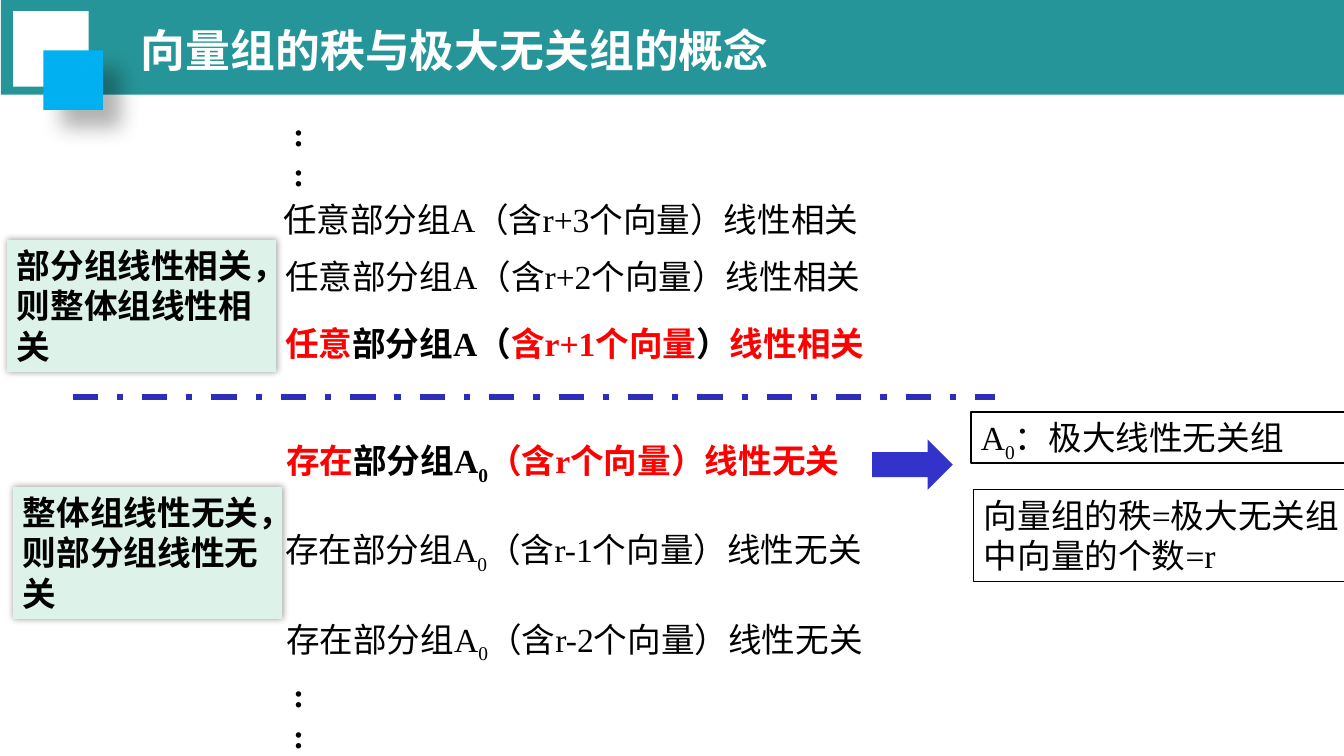
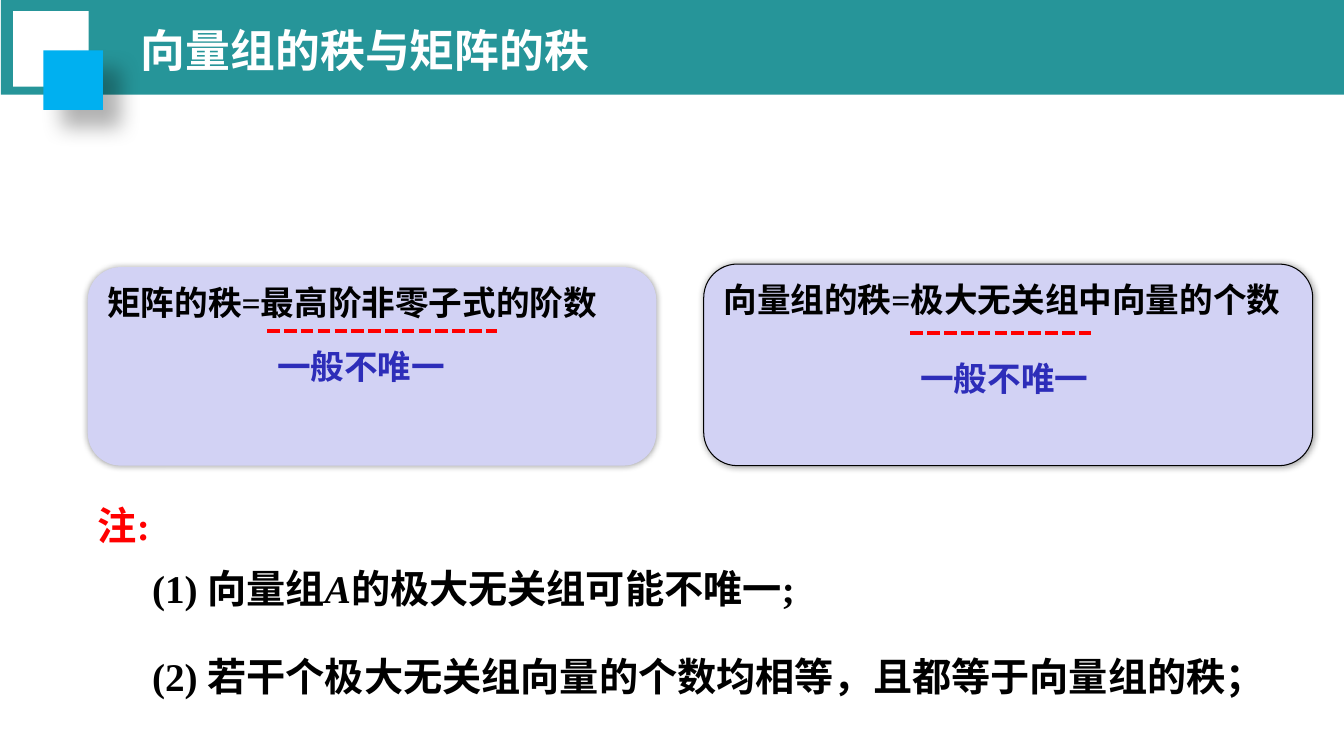
from dataclasses import dataclass
from typing import Optional

from lxml import etree
from pptx import Presentation
from pptx.dml.color import RGBColor
from pptx.enum.dml import MSO_LINE
from pptx.enum.shapes import MSO_CONNECTOR, MSO_SHAPE
from pptx.enum.text import MSO_ANCHOR, PP_ALIGN
from pptx.oxml.ns import qn
from pptx.util import Inches, Pt


@dataclass(frozen=True)
class Theme:
    teal: str = "269599"
    sky: str = "00B0F0"
    white: str = "FFFFFF"
    black: str = "000000"
    red: str = "FF0000"
    blue: str = "2D2DB9"
    arrow: str = "3333CC"
    mint: str = "DDF3EA"
    lavender: str = "D2D2F4"
    latin_font: str = "Times New Roman"
    chinese_font: str = "Noto Sans CJK SC"
    title_size: int = 32
    note_size: int = 28
    body_size: int = 24


THEME = Theme()


@dataclass(frozen=True)
class Box:
    left: float
    top: float
    width: float
    height: float


@dataclass(frozen=True)
class Span:
    text: str
    color: str = THEME.black
    subscript: bool = False
    italic: bool = False


@dataclass(frozen=True)
class Style:
    size: int = THEME.body_size
    bold: bool = False
    wrap: bool = True
    anchor: MSO_ANCHOR = MSO_ANCHOR.TOP
    line_spacing: float = 1.0
    indent: float = 0


@dataclass(frozen=True)
class Shadow:
    opacity: int
    blur: float
    distance: float = 0
    angle: int = 0


@dataclass(frozen=True)
class Row:
    left: float
    top: float
    spans: tuple[Span, ...]
    bold: bool = False


@dataclass(frozen=True)
class RankPanel:
    box: Box
    text: str
    border: Optional[float]
    underline: Box
    remark: Box


PLAIN = Style()
BOLD = Style(bold=True)
GLOW = Shadow(40, 5)
SUBSCRIPT_ZERO = Span("0", subscript=True)


# Drawing helpers
def write(shape, paragraphs: list[tuple[Span, ...]], style: Style) -> None:
    frame = shape.text_frame
    frame.word_wrap = style.wrap
    frame.vertical_anchor = style.anchor
    for index, spans in enumerate(paragraphs):
        paragraph = frame.add_paragraph() if index else frame.paragraphs[0]
        paragraph.alignment = PP_ALIGN.LEFT
        paragraph.line_spacing = style.line_spacing
        if style.indent:
            paragraph._p.get_or_add_pPr().set("marL", str(Inches(style.indent)))
        for span in spans:
            run = paragraph.add_run()
            run.text = span.text
            run.font.name = THEME.latin_font
            run.font.size = Pt(style.size)
            run.font.bold = style.bold
            run.font.italic = span.italic
            run.font.color.rgb = RGBColor.from_string(span.color)
            properties = run._r.get_or_add_rPr()
            east_asian = etree.Element(qn("a:ea"), typeface=THEME.chinese_font)
            properties.find(qn("a:latin")).addnext(east_asian)
            if span.subscript:
                properties.set("baseline", "-25000")


def add_text(slide, box: Box, paragraphs: list[tuple[Span, ...]],
             style: Style = PLAIN) -> None:
    shape = slide.shapes.add_textbox(
        Inches(box.left), Inches(box.top), Inches(box.width), Inches(box.height))
    write(shape, paragraphs, style)


def add_shape(slide, box: Box, fill: Optional[str] = None,
              kind: MSO_SHAPE = MSO_SHAPE.RECTANGLE,
              border: Optional[float] = None, shadow: Optional[Shadow] = None):
    shape = slide.shapes.add_shape(
        kind, Inches(box.left), Inches(box.top), Inches(box.width), Inches(box.height))
    if fill:
        shape.fill.solid()
        shape.fill.fore_color.rgb = RGBColor.from_string(fill)
    else:
        shape.fill.background()
    if border:
        shape.line.color.rgb = RGBColor.from_string(THEME.black)
        shape.line.width = Pt(border)
    else:
        shape.line.fill.background()
    shape.shadow.inherit = False
    if shadow:
        effects = shape._element.spPr.find(qn("a:effectLst"))
        outer = etree.SubElement(
            effects, qn("a:outerShdw"), blurRad=str(Pt(shadow.blur)),
            dist=str(Pt(shadow.distance)), dir=str(shadow.angle * 60000),
            algn="ctr", rotWithShape="0")
        color = etree.SubElement(outer, qn("a:srgbClr"), val=THEME.black)
        etree.SubElement(color, qn("a:alpha"), val=str(shadow.opacity * 1000))
    return shape


def add_line(slide, box: Box, color: str, width: float, dash: MSO_LINE) -> None:
    line = slide.shapes.add_connector(
        MSO_CONNECTOR.STRAIGHT, Inches(box.left), Inches(box.top),
        Inches(box.left + box.width), Inches(box.top + box.height))
    line.line.color.rgb = RGBColor.from_string(color)
    line.line.width = Pt(width)
    line.line.dash_style = dash
    etree.SubElement(line._element.spPr, qn("a:effectLst"))


def add_titled_slide(presentation, title: str):
    slide = presentation.slides.add_slide(presentation.slide_layouts[6])
    add_shape(slide, Box(0.01, -0.04, 13.33, 0.98), THEME.teal)
    add_shape(slide, Box(0.13, 0.11, 0.75, 0.75), THEME.white)
    add_shape(slide, Box(0.43, 0.5, 0.59, 0.59), THEME.sky,
              shadow=Shadow(30, 15, 18, 45))
    add_text(slide, Box(1.3, 0.17, 8.5, 0.65), [(Span(title, THEME.white),)],
             Style(THEME.title_size, bold=True, anchor=MSO_ANCHOR.MIDDLE))
    return slide


# Slide 1: dependent groups above the divider, independent ones below
def build_concept_slide(presentation) -> None:
    slide = add_titled_slide(presentation, "向量组的秩与极大无关组的概念")
    add_line(slide, Box(0.72, 3.94, 9.15, 0), THEME.blue, 4.5, MSO_LINE.DASH_DOT)

    rows = [
        Row(2.71, 1.92, (Span("任意部分组A（含r+3个向量）线性相关"),)),
        Row(2.73, 2.49, (Span("任意部分组A（含r+2个向量）线性相关"),)),
        Row(2.73, 3.15, (Span("任意", THEME.red), Span("部分组A（"),
                         Span("含r+1个向量", THEME.red), Span("）"),
                         Span("线性相关", THEME.red)), bold=True),
        Row(2.74, 4.32, (Span("存在", THEME.red), Span("部分组A"), SUBSCRIPT_ZERO,
                         Span("（含r个向量）线性无关", THEME.red)), bold=True),
        Row(2.73, 5.2, (Span("存在部分组A"), SUBSCRIPT_ZERO,
                        Span("（含r-1个向量）线性无关"))),
        Row(2.74, 6.09, (Span("存在部分组A"), SUBSCRIPT_ZERO,
                         Span("（含r-2个向量）线性无关"))),
    ]
    for row in rows:
        add_text(slide, Box(row.left, row.top, 7.24, 0.5), [row.spans],
                 BOLD if row.bold else PLAIN)
    for top in (1.07, 6.64):
        add_text(slide, Box(2.81, top, 2.06, 0.91), [(Span(":"),)] * 2, BOLD)

    # Conclusions on the right
    add_shape(slide, Box(8.65, 4.36, 0.8, 0.5), THEME.arrow, MSO_SHAPE.RIGHT_ARROW)
    conclusions = [
        (Box(9.63, 4.09, 3.78, 0.5), 1.5,
         (Span("A"), SUBSCRIPT_ZERO, Span("：极大线性无关组"))),
        (Box(9.66, 4.86, 3.78, 0.91), 0.75,
         (Span("向量组的秩=极大无关组中向量的个数=r"),)),
    ]
    for box, border, spans in conclusions:
        write(add_shape(slide, box, border=border), [spans], PLAIN)

    # Rules on the left
    rules = [
        (Box(0.07, 2.38, 2.67, 1.31), "部分组线性相关，则整体组线性相关"),
        (Box(0.13, 4.83, 2.67, 1.31), "整体组线性无关，则部分组线性无关"),
    ]
    for box, text in rules:
        write(add_shape(slide, box, THEME.mint, shadow=GLOW), [(Span(text),)], BOLD)


# Slide 2: two definitions of rank, then notes
def build_rank_slide(presentation) -> None:
    slide = add_titled_slide(presentation, "向量组的秩与矩阵的秩")
    panels = [
        RankPanel(Box(0.87, 2.65, 5.64, 1.97), "矩阵的秩=最高阶非零子式的阶数", None,
                  Box(2.65, 3.28, 2.28, 0), Box(2.65, 3.38, 2.28, 0.5)),
        RankPanel(Box(6.98, 2.62, 6.04, 2), "向量组的秩=极大无关组中向量的个数", 0.75,
                  Box(9.03, 3.3, 1.82, 0), Box(9.03, 3.5, 2.28, 0.5)),
    ]
    for panel in panels:
        shape = add_shape(slide, panel.box, THEME.lavender,
                          MSO_SHAPE.ROUNDED_RECTANGLE, panel.border, GLOW)
        write(shape, [(Span(panel.text),)], Style(bold=True, wrap=False))
        add_line(slide, panel.underline, THEME.red, 3, MSO_LINE.SQUARE_DOT)
        add_text(slide, panel.remark, [(Span("一般不唯一", THEME.blue),)], BOLD)

    # Notes
    add_text(slide, Box(0.87, 4.92, 11.55, 0.57), [(Span("注:", THEME.red),)],
             Style(THEME.note_size, bold=True))
    item_style = Style(THEME.note_size, bold=True, line_spacing=1.2, indent=0.68)
    items = [
        (5.46, (Span("(1) 向量组"), Span("A", italic=True),
                Span("的极大无关组可能不唯一;"))),
        (6.33, (Span("(2) 若干个极大无关组向量的个数均相等，且都等于向量组的秩；"),)),
    ]
    for top, spans in items:
        add_text(slide, Box(0.73, top, 12.36, 0.61), [spans], item_style)


def main() -> None:
    presentation = Presentation()
    presentation.slide_width = Inches(13.33)
    presentation.slide_height = Inches(7.5)
    build_concept_slide(presentation)
    build_rank_slide(presentation)
    presentation.save("out.pptx")


if __name__ == "__main__":
    main()
